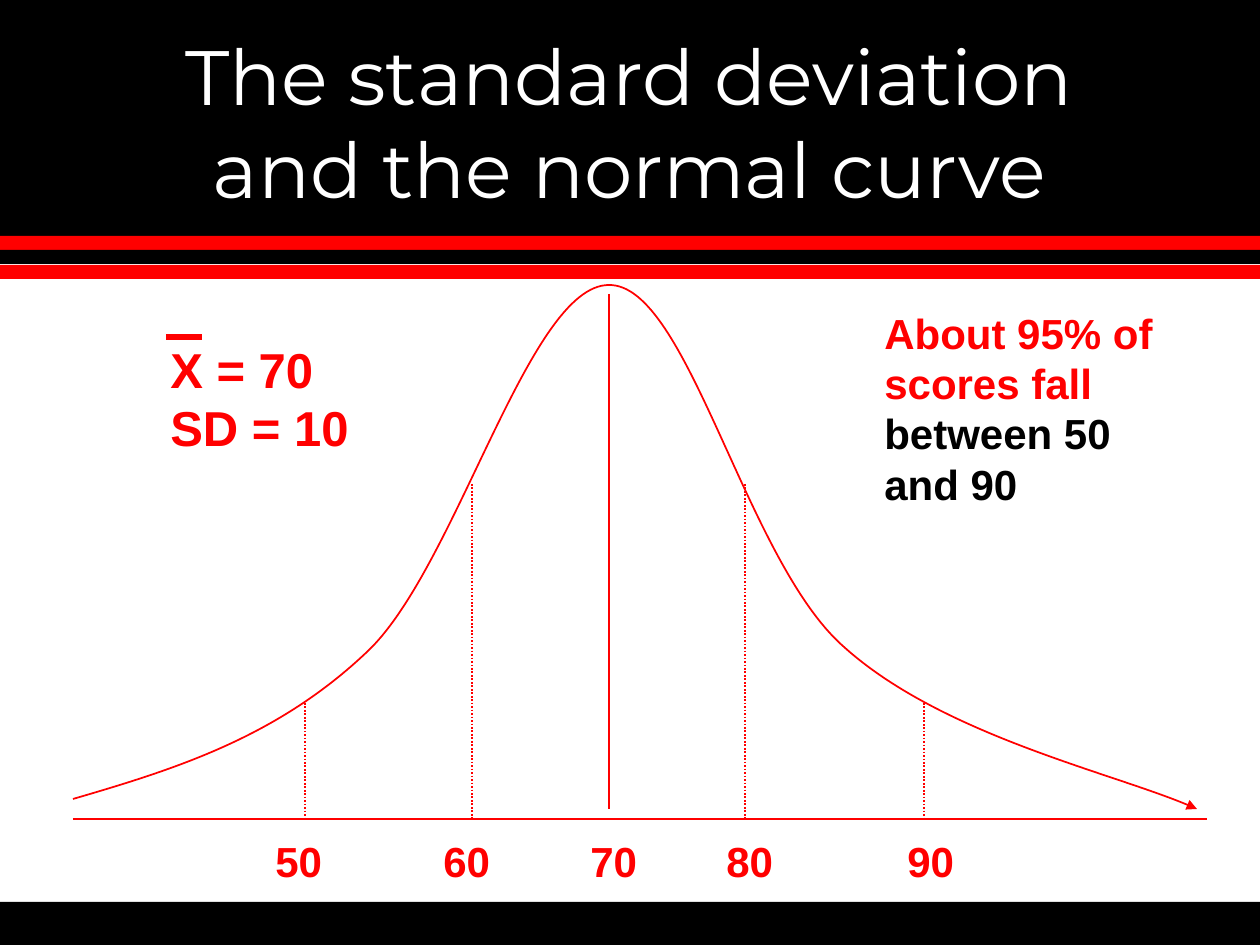
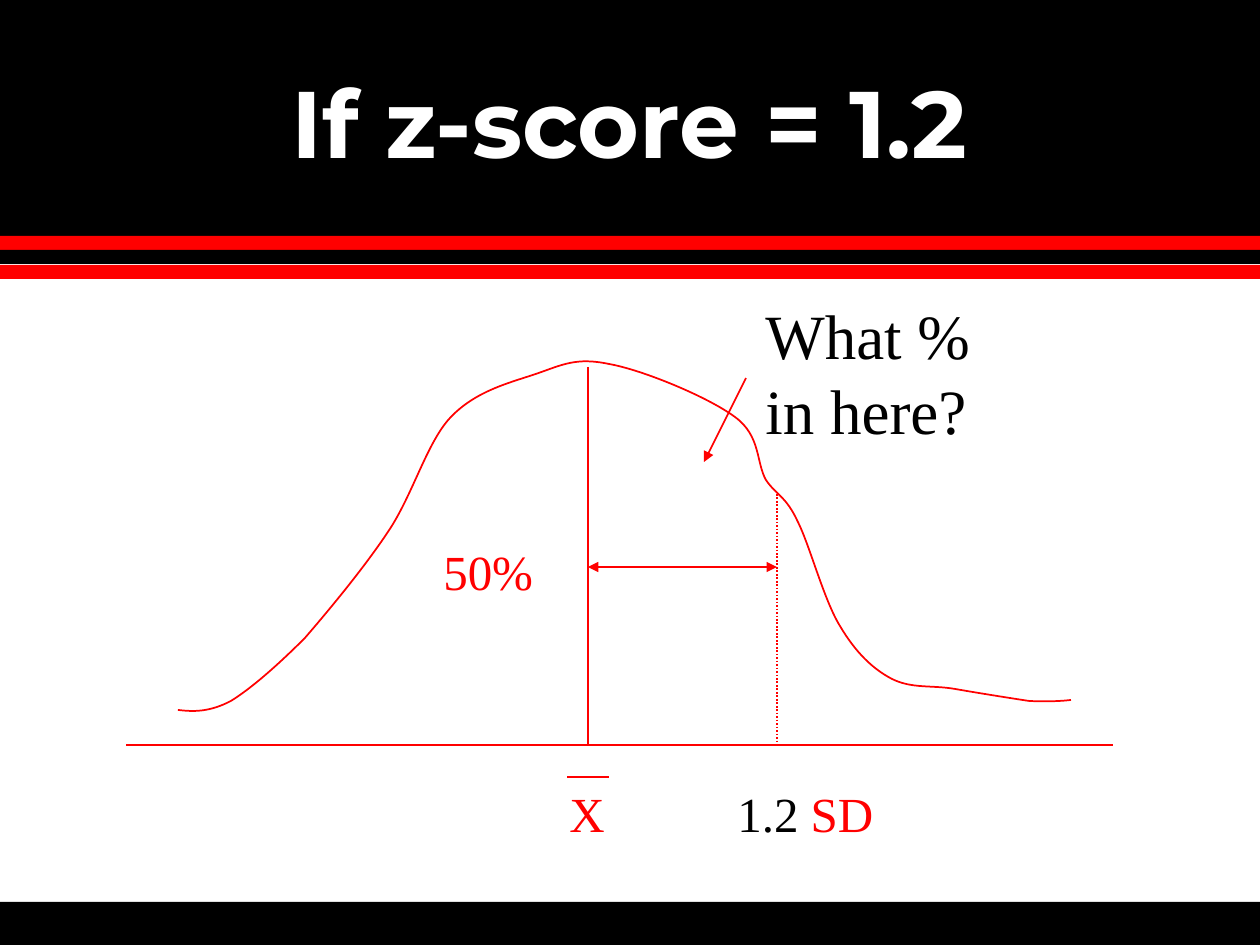
from dataclasses import dataclass
from typing import NamedTuple

from lxml import etree
from pptx import Presentation
from pptx import util as u
from pptx.dml.color import RGBColor
from pptx.enum import dml, shapes, text
from pptx.oxml.ns import qn

PX = 914400 / 126
WIDE, HIGH = 1260, 945
HUES = {"red": "FF0000", "black": "000000", "white": "FFFFFF", "gray": "969696"}


class Band(NamedTuple):
    top: int
    high: int
    hue: str


class Run(NamedTuple):
    words: str
    hue: str = "red"


class Tick(NamedTuple):
    score: str
    left: int
    x: int
    top: int


@dataclass
class Font:
    name: str
    size: int
    bold: bool = False


@dataclass
class Note:
    box: tuple[int, int, int, int]
    font: Font
    lines: list[list[Run]]
    wrap: bool = False
    title: bool = False


@dataclass
class Line:
    start: tuple[int, int]
    end: tuple[int, int]
    width: int = 1
    dots: bool = False
    head: bool = False
    tail: bool = False


@dataclass
class Curve:
    points: list[tuple[int, int]]
    tail: bool = False


BANDS = [
    Band(189, 713, "white"),
    Band(902, 43, "black"),
    Band(0, 222, "black"),
    *(Band(222 + round(14.25 * i), 14, hue)
      for i, hue in enumerate(["black", "red", "black", "red"])),
]

BELL = [
    (73, 799),
    (176, 769), (278, 737), (368, 651),
    (457, 566), (529, 285), (609, 285),
    (688, 284), (745, 559), (843, 646),
    (941, 735), (1123, 775), (1197, 809),
]
HILL = [
    (178, 710),
    (194, 712), (210, 712), (231, 701),
    (252, 688), (278, 665), (305, 638),
    (330, 609), (364, 568), (388, 532),
    (413, 495), (427, 442), (451, 417),
    (476, 391), (509, 383), (536, 374),
    (562, 365), (576, 357), (609, 364),
    (643, 370), (708, 397), (735, 417),
    (761, 436), (756, 462), (766, 480),
    (777, 496), (786, 496), (798, 522),
    (810, 546), (824, 600), (840, 626),
    (856, 653), (873, 669), (892, 679),
    (912, 689), (932, 685), (955, 689),
    (978, 693), (1009, 698), (1029, 701),
    (1048, 702), (1063, 701), (1071, 700),
]

TICKS = [
    Tick("50", 263, 305, 703),
    Tick("60", 431, 472, 484),
    Tick("70", 578, 609, 294),
    Tick("80", 714, 745, 484),
    Tick("90", 895, 924, 703),
]
MEAN = "70"
BASE = 819

LABEL = Font("Arial", 24, True)
STATS = Font("Arial", 28, True)
SERIF = Font("Times New Roman", 28)
ASK = Font("Times New Roman", 36)


def emu(n: float) -> u.Emu:
    return u.Emu(round(n * PX))


def tint(hue: str) -> RGBColor:
    return RGBColor.from_string(HUES[hue])


def draw_bands(slide) -> None:
    for band in BANDS:
        bar = slide.shapes.add_shape(
            shapes.MSO_SHAPE.RECTANGLE, 0, emu(band.top), emu(WIDE), emu(band.high))
        bar.shadow.inherit = False
        bar.fill.solid()
        bar.fill.fore_color.rgb = tint(band.hue)
        bar.line.fill.background()


def draw_note(slide, note: Note) -> None:
    frame = slide.shapes.add_textbox(*map(emu, note.box)).text_frame
    frame.word_wrap = note.wrap
    if note.title:
        frame.vertical_anchor = text.MSO_ANCHOR.MIDDLE
    for i, line in enumerate(note.lines):
        para = frame.add_paragraph() if i else frame.paragraphs[0]
        para.line_spacing = u.Pt(note.font.size * 1.2)
        if note.title:
            para.alignment = text.PP_ALIGN.CENTER
        for part in line:
            run = para.add_run()
            run.text = part.words
            run.font.name = note.font.name
            run.font.size = u.Pt(note.font.size)
            run.font.bold = note.font.bold
            run.font.color.rgb = tint(part.hue)


def ink(shape, width: int = 1, dots: bool = False,
        head: bool = False, tail: bool = False) -> None:
    shape.line.color.rgb = tint("red")
    shape.line.width = u.Pt(width)
    if dots:
        shape.line.dash_style = dml.MSO_LINE.ROUND_DOT
    ln = shape.get_or_add_ln()
    for tag, shown in (("a:headEnd", head), ("a:tailEnd", tail)):
        if shown:
            etree.SubElement(ln, qn(tag), type="triangle")
    etree.SubElement(ln.getparent(), qn("a:effectLst"))


def draw_line(slide, line: Line) -> None:
    rule = slide.shapes.add_connector(
        shapes.MSO_CONNECTOR.STRAIGHT, *map(emu, line.start + line.end))
    ink(rule, line.width, line.dots, line.head, line.tail)


def draw_curve(slide, curve: Curve) -> None:
    first, *rest = curve.points
    pen = slide.shapes.build_freeform(*first, scale=PX)
    pen.add_line_segments(rest, close=False)
    shape = pen.convert_to_shape()
    shape.fill.background()
    ink(shape, tail=curve.tail)
    track = next(shape._element.iter(qn("a:path")))
    steps = track.findall(qn("a:lnTo"))
    for i in range(0, len(steps), 3):
        bend = etree.SubElement(track, qn("a:cubicBezTo"))
        for step in steps[i:i + 3]:
            bend.append(step[0])
            track.remove(step)


DRAW = {Note: draw_note, Line: draw_line, Curve: draw_curve}


def add_slide(deck, title: str, font: Font, items: list) -> None:
    slide = deck.slides.add_slide(deck.slide_layouts[6])
    slide.background.fill.solid()
    slide.background.fill.fore_color.rgb = tint("gray")
    draw_bands(slide)
    head = Note((94, 42, 1071, 158), font, [[Run(title, "white")]], True, True)
    for item in [head, *items]:
        DRAW[type(item)](slide, item)


def bell_parts() -> list:
    parts = [
        Line((73, BASE), (1207, BASE)),
        Curve(BELL, tail=True),
        Note((158, 333, 203, 131), STATS, [[Run("X = 70")], [Run("SD = 10")]]),
        Line((166, 337), (202, 337), width=3),
        Note((872, 301, 305, 214), LABEL,
             [[Run("About 95% of")], [Run("scores fall")],
              [Run("between 50 and 90", "black")]], wrap=True),
    ]
    for tick in TICKS:
        mean = tick.score == MEAN
        foot = BASE - 10 if mean else BASE
        parts.append(Line((tick.x, tick.top), (tick.x, foot), dots=not mean))
        parts.append(Note((tick.left, 829, 72, 63), LABEL, [[Run(tick.score)]]))
    return parts


def hill_parts() -> list:
    base, mean, score = 745, 588, 777
    return [
        Curve(HILL),
        Line((126, base), (1113, base)),
        Line((mean, 367), (mean, base)),
        Line((score, 494), (score, base), dots=True),
        Line((mean, 567), (score, 567), head=True, tail=True),
        Line((567, 777), (609, 777)),
        Note((557, 777, 60, 72), SERIF, [[Run("X")]]),
        Note((725, 777, 161, 72), SERIF, [[Run("1.2", "black"), Run(" SD")]]),
        Note((431, 535, 115, 72), SERIF, [[Run("50%")]]),
        Note((753, 290, 246, 164), ASK,
             [[Run("What %", "black")], [Run("in here?", "black")]]),
        Line((746, 378), (704, 462), tail=True),
    ]


def main() -> None:
    deck = Presentation()
    deck.slide_width, deck.slide_height = emu(WIDE), emu(HIGH)
    add_slide(deck, "The standard deviation and the normal curve",
              Font("Montserrat", 44), bell_parts())
    add_slide(deck, "If z-score = 1.2", Font("Montserrat", 54, True), hill_parts())
    deck.save("out.pptx")


if __name__ == "__main__":
    main()
